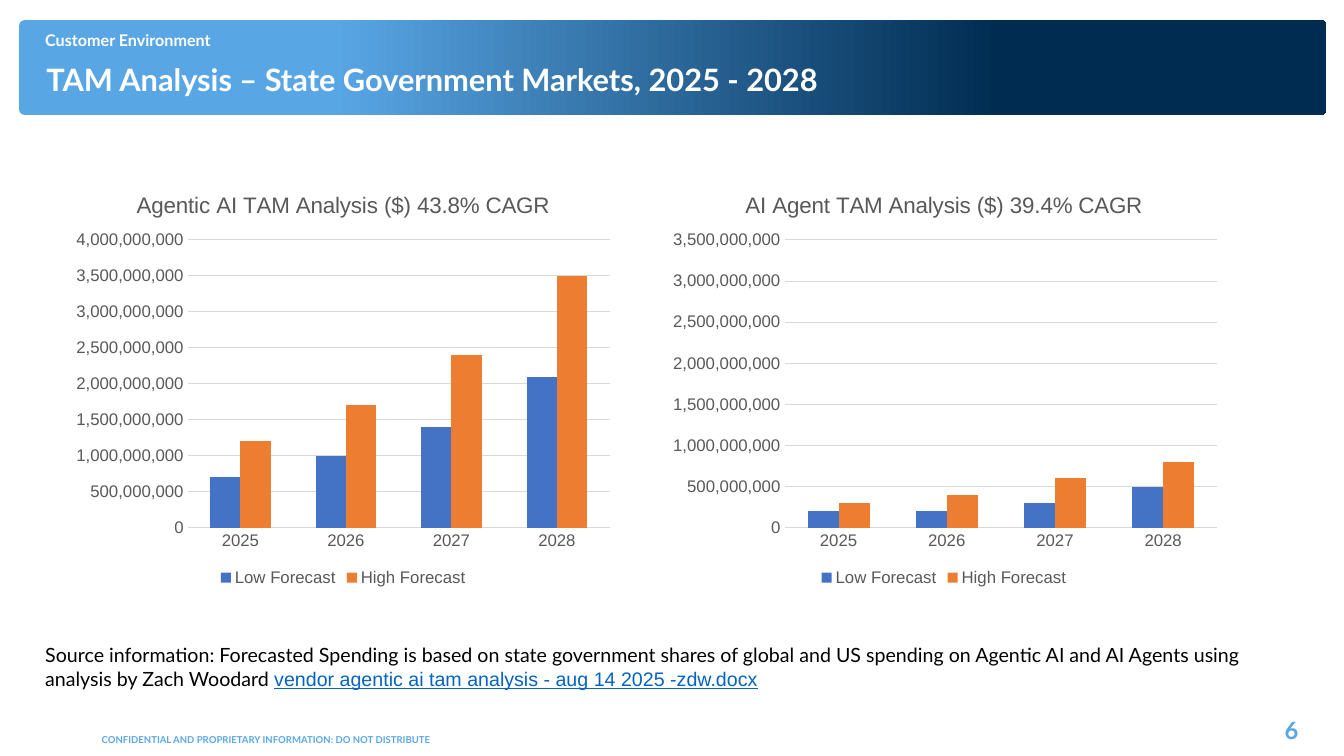
from lxml.etree import SubElement
from pptx import Presentation
from pptx.chart.data import CategoryChartData
from pptx.dml.color import RGBColor
from pptx.enum.chart import XL_CHART_TYPE as ChartType, XL_LEGEND_POSITION as LegendPos, XL_TICK_MARK as Tick
from pptx.enum.shapes import MSO_SHAPE as Shape
from pptx.enum.text import MSO_ANCHOR as Anchor, MSO_AUTO_SIZE as AutoSize, PP_ALIGN as Align
from pptx.oxml.ns import qn
from pptx.util import Pt

COLORS = {"sky": "59A6E5", "navy": "002C51", "white": "FFFFFF", "black": "000000",
          "gray": "595959", "grid": "D9D9D9", "link": "0563C1",
          "low": "4472C4", "high": "ED7D31"}

TITLE = "TAM Analysis – State Government Markets, 2025 - 2028"
SECTION = "Customer Environment"
CONFIDENTIAL = "CONFIDENTIAL AND PROPRIETARY INFORMATION: DO NOT DISTRIBUTE"
PAGE = "6"
SOURCE = ("Source information: Forecasted Spending is based on state government shares of "
          "global and US spending on Agentic AI and AI Agents using analysis by Zach Woodard ")
SOURCE_FILE = "vendor agentic ai tam analysis - aug 14 2025 -zdw.docx"

YEARS = ["2025", "2026", "2027", "2028"]
BILLION = 1_000_000_000
# Forecasts in billions of dollars
MARKETS = [
    {"title": "Agentic AI TAM Analysis ($) 43.8% CAGR", "left": 46.8, "width": 396.7, "top_value": 4,
     "low": [0.7, 1.0, 1.4, 2.1], "high": [1.2, 1.7, 2.4, 3.5]},
    {"title": "AI Agent TAM Analysis ($) 39.4% CAGR", "left": 470.9, "width": 406.8, "top_value": 3.5,
     "low": [0.2, 0.2, 0.3, 0.5], "high": [0.3, 0.4, 0.6, 0.8]},
]
CHART_TOP, CHART_HEIGHT = 123.8, 298.1
PLOT_AREA = {"x": 0.22, "y": 0.16, "w": 0.76, "h": 0.69}


def rgb(name):
    return RGBColor.from_string(COLORS[name])


def set_font(font, size, color, name="Lato", bold=False):
    font.size, font.name, font.bold = Pt(size), name, bold
    font.color.rgb = rgb(color)


def add_text(slide, box, text, size, color, bold=True, align=Align.LEFT, anchor=Anchor.TOP, spacing=1.0):
    frame = slide.shapes.add_textbox(*map(Pt, box)).text_frame
    frame.word_wrap = True
    frame.vertical_anchor = anchor
    paragraph = frame.paragraphs[0]
    paragraph.text = text
    paragraph.alignment = align
    paragraph.line_spacing = spacing
    set_font(paragraph.font, size, color, bold=bold)
    return paragraph


def fix_plot_area(chart):
    """Pin the inner plot area to fractions of the chart."""
    plot_area = chart._chartSpace.chart.plotArea
    layout = plot_area.find(qn("c:layout"))
    if layout is None:
        layout = SubElement(plot_area, qn("c:layout"))
        plot_area.insert(0, layout)
    manual = SubElement(layout, qn("c:manualLayout"))
    settings = {"layoutTarget": "inner", "xMode": "edge", "yMode": "edge", **PLOT_AREA}
    for tag, value in settings.items():
        SubElement(manual, qn(f"c:{tag}")).set("val", str(value))


def add_market_chart(slide, market):
    data = CategoryChartData(number_format="#,##0")
    data.categories = YEARS
    for level in ("low", "high"):
        data.add_series(f"{level.title()} Forecast", [round(value * BILLION) for value in market[level]])
    box = (market["left"], CHART_TOP, market["width"], CHART_HEIGHT)
    chart = slide.shapes.add_chart(ChartType.COLUMN_CLUSTERED, *map(Pt, box), data).chart
    set_font(chart.font, 10, "black", "Arial")

    chart.has_title = True
    heading = chart.chart_title.text_frame.paragraphs[0]
    heading.text = market["title"]
    set_font(heading.font, 16, "gray", "Arial")
    chart.chart_title.include_in_layout = False

    chart.has_legend = True
    chart.legend.position = LegendPos.BOTTOM
    chart.legend.include_in_layout = False
    set_font(chart.legend.font, 12, "gray", "Arial")

    for axis in (chart.category_axis, chart.value_axis):
        axis.major_tick_mark = axis.minor_tick_mark = Tick.NONE
        axis.format.line.fill.background()
        set_font(axis.tick_labels.font, 12, "gray", "Arial")
    dollars = chart.value_axis
    dollars.minimum_scale = 0
    dollars.maximum_scale = market["top_value"] * BILLION
    dollars.major_unit = BILLION / 2
    dollars.tick_labels.number_format = "#,##0"
    dollars.tick_labels.number_format_is_linked = False
    grid_line = dollars.major_gridlines.format.line
    grid_line.width = Pt(0.75)
    grid_line.color.rgb = rgb("grid")

    columns = chart.plots[0]
    columns.gap_width, columns.overlap = 150, 0
    columns.vary_by_categories = False
    for forecast, color in zip(columns.series, ("low", "high")):
        forecast.format.fill.solid()
        forecast.format.fill.fore_color.rgb = rgb(color)
    fix_plot_area(chart)


def add_banner(slide):
    banner = slide.shapes.add_shape(Shape.ROUNDED_RECTANGLE, Pt(13.7), Pt(14.4), Pt(933.8), Pt(67.7))
    banner.adjustments[0] = 0.057
    banner.shadow.inherit = False
    banner.line.fill.background()
    banner.fill.gradient()
    banner.fill.gradient_angle = 0
    for stop, position, color in zip(banner.fill.gradient_stops, (0.24, 0.75), ("sky", "navy")):
        stop.position = position
        stop.color.rgb = rgb(color)
    slide.shapes._spTree.insert(2, banner._element)


def set_title(slide):
    title = slide.shapes.title
    title.left, title.top, title.width, title.height = map(Pt, (25.9, 36.7, 686.2, 37.4))
    frame = title.text_frame
    frame.text = TITLE
    frame.auto_size = AutoSize.NONE
    frame.vertical_anchor = Anchor.BOTTOM
    paragraph = frame.paragraphs[0]
    paragraph.alignment = Align.LEFT
    paragraph.line_spacing = 0.9
    set_font(paragraph.font, 22, "white", bold=True)


def main():
    deck = Presentation()
    deck.slide_width, deck.slide_height = Pt(960), Pt(540)
    slide = deck.slides.add_slide(deck.slide_layouts[5])
    add_banner(slide)
    set_title(slide)
    add_text(slide, (25.2, 20.9, 529.2, 19.4), SECTION, 11.5, "white", spacing=0.8)
    for market in MARKETS:
        add_market_chart(slide, market)

    source = add_text(slide, (25.2, 455.8, 880.6, 41), SOURCE, 14, "black", bold=False)
    file_name = source.add_run()
    file_name.text = SOURCE_FILE
    set_font(file_name.font, 14, "link", "Arial")
    file_name.font.underline = True

    add_text(slide, (65.5, 520.6, 250.6, 15.8), CONFIDENTIAL, 6.8, "sky")
    add_text(slide, (854.6, 507.6, 79.9, 28.1), PAGE, 17, "sky", align=Align.RIGHT, anchor=Anchor.MIDDLE)
    deck.save("out.pptx")


if __name__ == "__main__":
    main()
